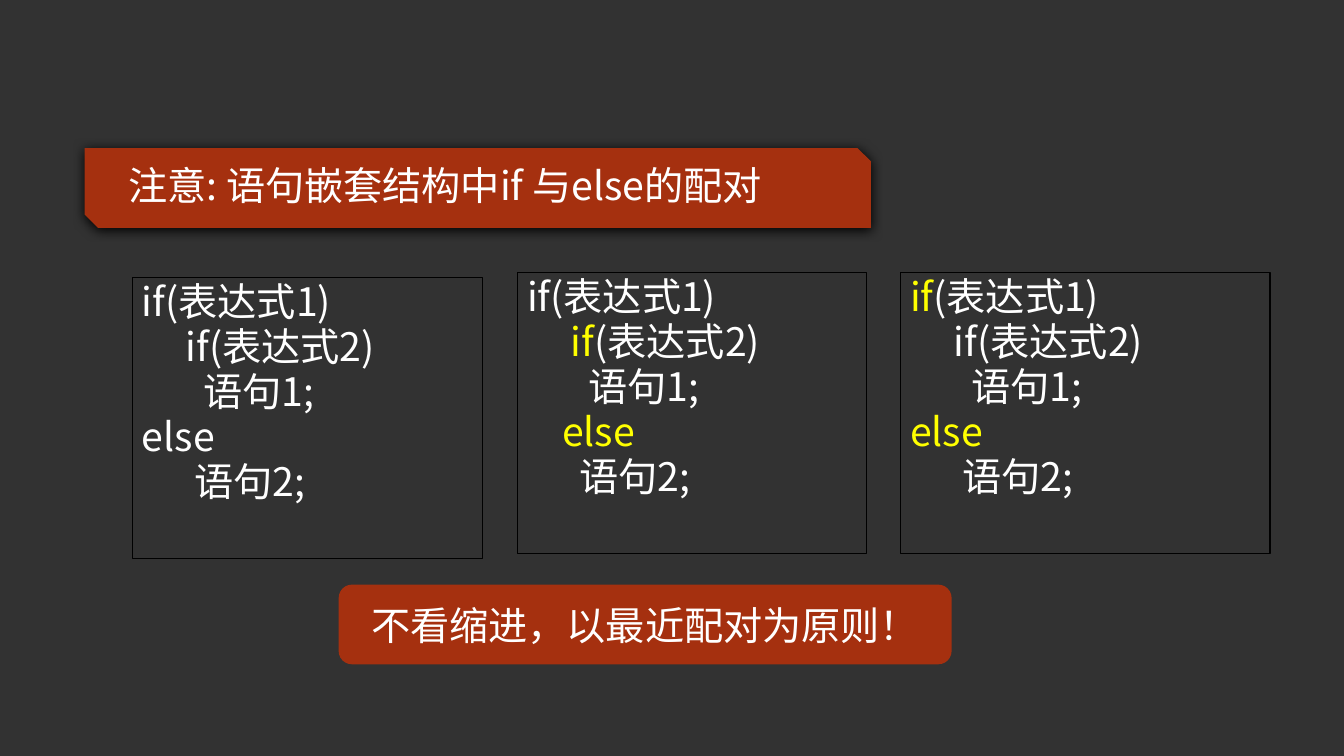
"""Build a slide on how else pairs with if in nested statements."""
from lxml import etree
from pptx import Presentation
from pptx.dml.color import RGBColor
from pptx.enum.shapes import MSO_SHAPE as Shape
from pptx.enum.text import MSO_ANCHOR as Anchor, MSO_AUTO_SIZE as AutoSize, PP_ALIGN as Align
from pptx.oxml.ns import qn
from pptx.util import Pt

TITLE = "注意: 语句嵌套结构中if 与else的配对"
RULE = "不看缩进，以最近配对为原则！"
OUTER = ("", "if", "(表达式1)")
INNER = (" " * 5, "if", "(表达式2)")
FIRST = (" " * 7, "", "语句1;")
ELSE = ("", "else", "")
INDENTED_ELSE = (" " * 4, "else", "")
SECOND = (" " * 6, "", "语句2;")

CODE_BOXES = [
    {"left": 94.3, "top": 198, "width": 250.6, "paired": (),
     "lines": [OUTER, INNER, FIRST, ELSE, SECOND]},
    {"left": 369.4, "top": 194.4, "width": 249.8, "paired": (INNER, INDENTED_ELSE),
     "lines": [OUTER, INNER, FIRST, INDENTED_ELSE, SECOND]},
    {"left": 643, "top": 194.4, "width": 264.2, "paired": (OUTER, ELSE),
     "lines": [OUTER, INNER, FIRST, ELSE, SECOND]},
]
CODE_HEIGHT = 200.9
BANNER = (60.5, 105.8, 561.6, 56.9)
RULE_BOX = (241.9, 417.6, 437.8, 56.9)
TITLE_INDENT = 31

FONT = "Noto Sans CJK SC"
SIZE = 28
DARK = RGBColor(0x32, 0x32, 0x32)
RED = RGBColor(0xA5, 0x30, 0x0F)
WHITE = RGBColor(0xFF, 0xFF, 0xFF)
YELLOW = RGBColor(0xFF, 0xFF, 0x00)
BLACK = RGBColor(0, 0, 0)


def style_span(span, color=WHITE):
    span.font.name = FONT
    span.font.size = Pt(SIZE)
    span.font.bold = False
    span.font.color.rgb = color
    etree.SubElement(span.font._element, qn("a:ea"), typeface=FONT)


def add_box(page, kind, bounds, fill=None):
    box = page.shapes.add_shape(kind, *map(Pt, bounds))
    box.shadow.inherit = False
    if fill is None:
        box.fill.background()
        box.line.color.rgb = BLACK
        box.line.width = Pt(0.75)
    else:
        box.fill.solid()
        box.fill.fore_color.rgb = fill
        box.line.fill.background()
    return box


def add_shadow(box):
    effects = box._element.spPr.find(qn("a:effectLst"))
    shadow = etree.SubElement(effects, qn("a:outerShdw"), blurRad=str(Pt(8.5)),
                              dist=str(Pt(1)), dir="5400000", rotWithShape="0")
    etree.SubElement(shadow, qn("a:srgbClr"), val=str(BLACK))


def add_title(page):
    add_shadow(add_box(page, Shape.SNIP_2_DIAG_RECTANGLE, BANNER, RED))
    title = page.shapes.title
    title.left, title.top, title.width, title.height = map(Pt, BANNER)
    page.shapes._spTree.append(title._element)
    frame = title.text_frame
    frame.text = TITLE
    frame.auto_size = AutoSize.NONE
    frame.vertical_anchor = Anchor.MIDDLE
    frame.margin_left = Pt(TITLE_INDENT)
    para = frame.paragraphs[0]
    para.alignment = Align.LEFT
    para.line_spacing = 0.9
    para.space_before = Pt(0)
    style_span(para.runs[0])


def add_code(page, left, top, width, lines, paired):
    box = add_box(page, Shape.RECTANGLE, (left, top, width, CODE_HEIGHT))
    frame = box.text_frame
    frame.word_wrap = True
    frame.vertical_anchor = Anchor.TOP
    for row, line in enumerate(lines):
        para = frame.add_paragraph() if row else frame.paragraphs[0]
        para.alignment = Align.LEFT
        para.line_spacing = 0.9
        para.space_before = Pt(2 if row else 0)
        indent, keyword, rest = line
        pieces = [(indent, WHITE), (keyword, YELLOW), (rest, WHITE)]
        if line not in paired:
            pieces = [("".join(line), WHITE)]
        for text, color in pieces:
            if text:
                span = para.add_run()
                span.text = text
                style_span(span, color)


def add_rule(page):
    frame = add_box(page, Shape.ROUNDED_RECTANGLE, RULE_BOX, RED).text_frame
    frame.text = RULE
    frame.vertical_anchor = Anchor.MIDDLE
    frame.paragraphs[0].alignment = Align.CENTER
    style_span(frame.paragraphs[0].runs[0])


def main():
    deck = Presentation()
    deck.slide_width, deck.slide_height = Pt(960), Pt(540)
    page = deck.slides.add_slide(deck.slide_layouts[5])
    page.background.fill.solid()
    page.background.fill.fore_color.rgb = DARK
    add_title(page)
    for code in CODE_BOXES:
        add_code(page, **code)
    add_rule(page)
    deck.save("out.pptx")


if __name__ == "__main__":
    main()
